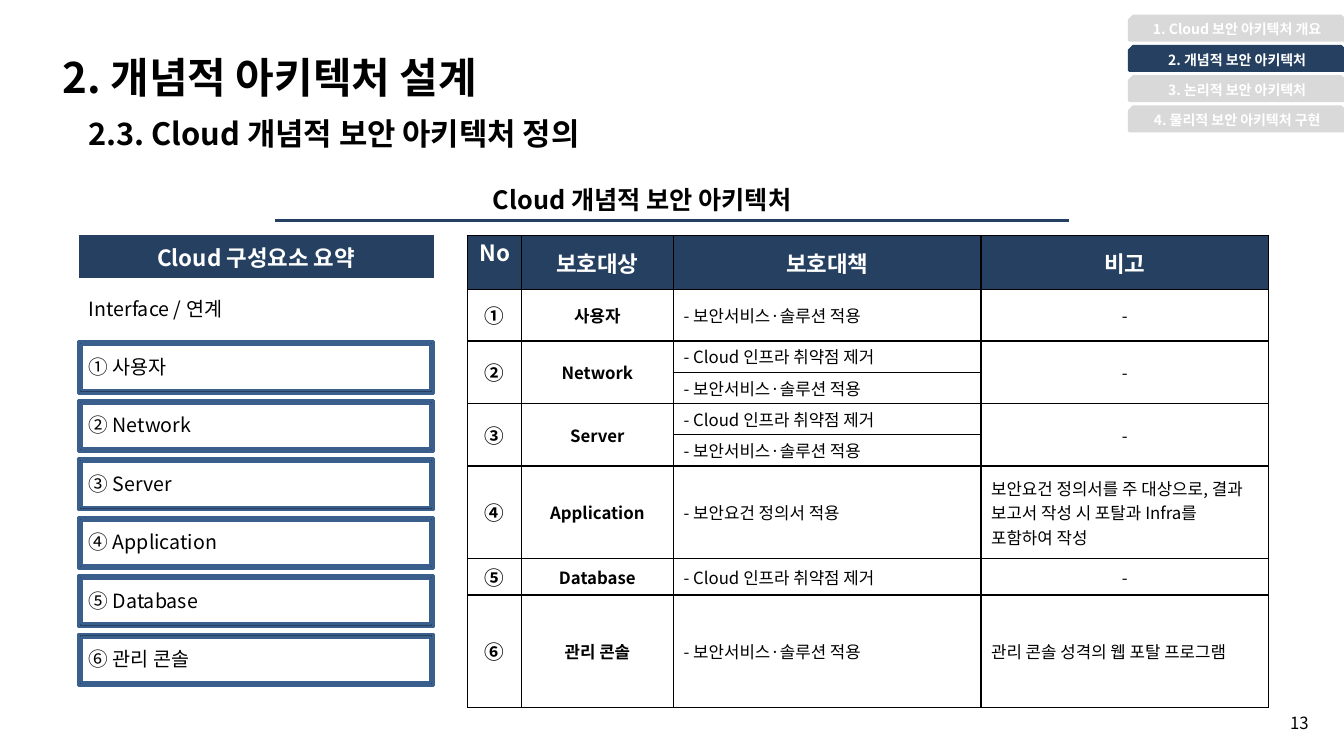
from typing import NamedTuple, Optional

import lxml.etree
import pptx
import pptx.dml.color
import pptx.enum.shapes
import pptx.enum.text
import pptx.oxml.ns
import pptx.util

Inches = pptx.util.Inches
Pt = pptx.util.Pt
Align = pptx.enum.text.PP_ALIGN
Anchor = pptx.enum.text.MSO_ANCHOR
Preset = pptx.enum.shapes.MSO_SHAPE
qn = pptx.oxml.ns.qn

FONT = "Noto Sans CJK KR"
COLORS = {"navy": "254061", "frame": "3A5F8C", "idle": "D9D9D9",
          "black": "000000", "white": "FFFFFF"}
PLAIN_TABLE_STYLE = "{2D5ABB26-0587-4C30-8999-92F81FD0307C}"


class Style(NamedTuple):
    size: float
    bold: bool = False
    color: str = "black"
    align: Align = Align.LEFT


class Box(NamedTuple):
    left: float
    top: float
    width: float
    height: float

    def lengths(self) -> list:
        return [Inches(side) for side in self]


class Protection(NamedTuple):
    """One protected target; each measure takes a table row of its own."""
    number: str
    target: str
    measures: list[str]
    heights: list[float]
    remark: str = "-"


HEADER = Style(16, True, "white", Align.CENTER)
NUMBER = Style(14, True, align=Align.CENTER)
TARGET = Style(12, True, align=Align.CENTER)
DETAIL = Style(12)
DASH = Style(12, align=Align.CENTER)
COMPONENT = Style(14)
TAB = Style(10, True, "white", Align.CENTER)

SERVICE = "- 보안서비스·솔루션 적용"
WEAKNESS = "- Cloud 인프라 취약점 제거"
PROTECTIONS = [
    Protection("①", "사용자", [SERVICE], [0.51]),
    Protection("②", "Network", [WEAKNESS, SERVICE], [0.31, 0.31]),
    Protection("③", "Server", [WEAKNESS, SERVICE], [0.31, 0.31]),
    Protection("④", "Application", ["- 보안요건 정의서 적용"], [0.92],
               "보안요건 정의서를 주 대상으로, 결과 보고서 작성 시 포탈과 Infra를 포함하여 작성"),
    Protection("⑤", "Database", [WEAKNESS], [0.36]),
    Protection("⑥", "관리 콘솔", [SERVICE], [1.12], "관리 콘솔 성격의 웹 포탈 프로그램"),
]
COLUMN_TITLES = ["No.", "보호대상", "보호대책", "비고"]
CHAPTERS = ["1. Cloud 보안 아키텍처 개요", "2. 개념적 보안 아키텍처",
            "3. 논리적 보안 아키텍처", "4. 물리적 보안 아키텍처 구현"]
CURRENT_CHAPTER = 1


def rgb(name: str) -> pptx.dml.color.RGBColor:
    return pptx.dml.color.RGBColor.from_string(COLORS[name])


def write(frame, text: str, style: Style) -> None:
    paragraph = frame.paragraphs[0]
    paragraph.alignment = style.align
    run = paragraph.add_run()
    run.text = text
    run.font.name = FONT
    run.font.size = Pt(style.size)
    run.font.bold = style.bold
    run.font.color.rgb = rgb(style.color)
    lxml.etree.SubElement(run.font._element, qn("a:ea"), typeface=FONT)


def add_label(slide, box: Box, text: str, style: Style) -> None:
    label = slide.shapes.add_textbox(*box.lengths())
    label.text_frame.word_wrap = True
    write(label.text_frame, text, style)


def add_preset(slide, preset: Preset, box: Box, fill: str, line: str):
    shape = slide.shapes.add_shape(preset, *box.lengths())
    shape.shadow.inherit = False
    shape.fill.solid()
    shape.fill.fore_color.rgb = rgb(fill)
    shape.line.color.rgb = rgb(line)
    shape.line.width = Pt(2)
    return shape


def add_grid(slide, left: float, top: float, widths: list[float], heights: list[float]):
    """Add an unstyled table with a navy header row and white body cells."""
    box = Box(left, top, sum(widths), sum(heights))
    grid = slide.shapes.add_table(len(heights), len(widths), *box.lengths()).table
    grid._tbl.tblPr.find(qn("a:tableStyleId")).text = PLAIN_TABLE_STYLE
    grid.horz_banding = False
    for column, width in zip(grid.columns, widths):
        column.width = Inches(width)
    for index, (row, height) in enumerate(zip(grid.rows, heights)):
        row.height = Inches(height)
        for cell in row.cells:
            cell.fill.solid()
            cell.fill.fore_color.rgb = rgb("white" if index else "navy")
            cell.vertical_anchor = Anchor.MIDDLE
    return grid


def outline(cell) -> None:
    properties = cell._tc.get_or_add_tcPr()
    for position, side in enumerate(("lnL", "lnR", "lnT", "lnB")):
        border = lxml.etree.Element(qn(f"a:{side}"), w=str(Pt(1)))
        paint = lxml.etree.SubElement(border, qn("a:solidFill"))
        lxml.etree.SubElement(paint, qn("a:srgbClr"), val=COLORS["black"])
        properties.insert(position, border)


def add_headings(slide) -> None:
    title = slide.shapes.title
    title.left, title.top, title.width, title.height = Box(0.52, 0.46, 6.7, 0.61).lengths()
    title.text_frame.auto_size = pptx.enum.text.MSO_AUTO_SIZE.NONE
    title.text_frame.vertical_anchor = Anchor.TOP
    write(title.text_frame, "2. 개념적 아키텍처 설계", Style(30, True))
    add_label(slide, Box(0.78, 1.09, 8.64, 0.47),
              "2.3. Cloud 개념적 보안 아키텍처 정의", Style(22, True))
    add_label(slide, Box(4.79, 1.78, 3.49, 0.4),
              "Cloud 개념적 보안 아키텍처", Style(18, True))
    underline = slide.shapes.add_connector(
        pptx.enum.shapes.MSO_CONNECTOR.STRAIGHT,
        Inches(2.73), Inches(2.19), Inches(10.6), Inches(2.19))
    underline.line.color.rgb = rgb("navy")
    underline.line.width = Pt(2.25)
    lxml.etree.SubElement(underline._element.spPr, qn("a:effectLst"))


def add_components(slide) -> None:
    left, top, width, header, pitch = 0.78, 2.33, 3.52, 0.43, 0.58
    names = ["Interface / 연계"] + [f"{p.number} {p.target}" for p in PROTECTIONS]
    summary = add_grid(slide, left, top, [width], [header] + [pitch] * len(names))
    write(summary.cell(0, 0).text_frame, "Cloud 구성요소 요약", HEADER)
    for row, name in enumerate(names, start=1):
        write(summary.cell(row, 0).text_frame, name, COMPONENT)
    for index in range(len(PROTECTIONS)):
        box = Box(left, 3.39 + pitch * index, width, 0.51)
        frame = add_preset(slide, Preset.FRAME, box, "navy", "frame")
        frame.adjustments[0] = 0.06


def add_protections(slide) -> None:
    heights = [0.43] + [height for p in PROTECTIONS for height in p.heights]
    grid = add_grid(slide, 4.64, 2.34, [0.53, 1.51, 3.05, 2.85], heights)
    for cell in grid.iter_cells():
        cell.margin_top = cell.margin_bottom = 0
        outline(cell)
    for column, name in enumerate(COLUMN_TITLES):
        write(grid.cell(0, column).text_frame, name, HEADER)
    row = 1
    for protection in PROTECTIONS:
        last = row + len(protection.measures) - 1
        remark_style = DASH if protection.remark == "-" else DETAIL
        for column, text, style in ((0, protection.number, NUMBER),
                                    (1, protection.target, TARGET),
                                    (3, protection.remark, remark_style)):
            if last > row:
                grid.cell(row, column).merge(grid.cell(last, column))
            write(grid.cell(row, column).text_frame, text, style)
        for offset, measure in enumerate(protection.measures):
            write(grid.cell(row + offset, 2).text_frame, measure, DETAIL)
        row = last + 1


def add_chapter_tabs(slide) -> None:
    for index, chapter in enumerate(CHAPTERS):
        color = "navy" if index == CURRENT_CHAPTER else "idle"
        box = Box(11.2, 0.16 + 0.3 * index, 2.14, 0.24)
        tab = add_preset(slide, Preset.SNIP_2_SAME_RECTANGLE, box, color, color)
        tab.text_frame.vertical_anchor = Anchor.MIDDLE
        write(tab.text_frame, chapter, TAB)


def main() -> None:
    deck = pptx.Presentation()
    deck.slide_width, deck.slide_height = Inches(13.33), Inches(7.5)
    slide = deck.slides.add_slide(deck.slide_layouts.get_by_name("Title Only"))
    add_headings(slide)
    add_components(slide)
    add_protections(slide)
    add_chapter_tabs(slide)
    add_label(slide, Box(11.52, 7.02, 1.56, 0.27), "13", Style(12, align=Align.RIGHT))
    deck.save("out.pptx")


if __name__ == "__main__":
    main()
